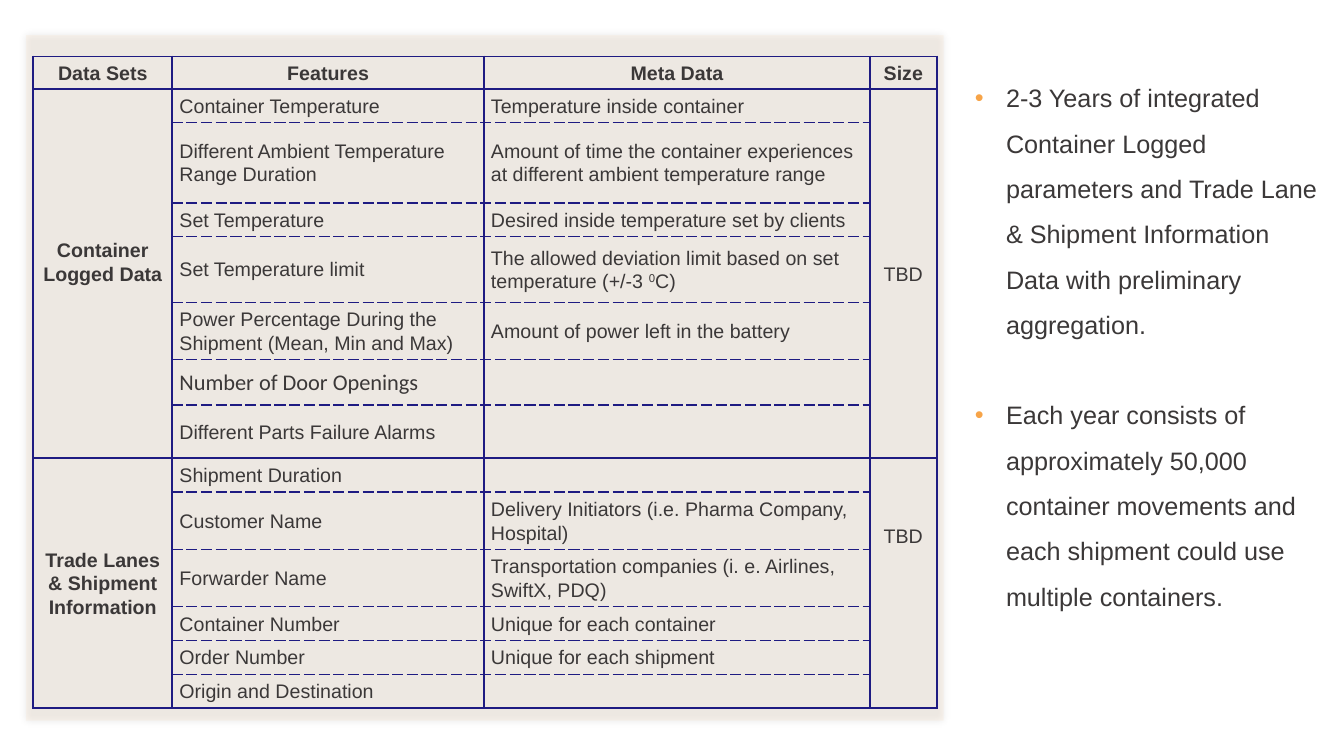
from dataclasses import dataclass
from lxml.etree import SubElement as Sub
from pptx import Presentation
from pptx.dml.color import RGBColor as RGB
from pptx.enum.shapes import MSO_SHAPE as Shape
from pptx.enum.text import MSO_ANCHOR as Anchor, PP_ALIGN as Align
from pptx.oxml.ns import qn
from pptx.util import Inches, Pt


@dataclass(frozen=True)
class Theme:
    """Colours, fonts and type sizes of the slide."""
    ink: str = "3B3838"
    rule: str = "1E1B82"
    panel: str = "FEE5CA"
    dot: str = "F7A448"
    font: str = "Arial"
    alt: str = "Calibri"
    cell: int = 14
    door: int = 16
    body: int = 18


T = Theme()
HEAD = ["Data Sets", "Features", "Meta Data", "Size"]
COLS = [1.38, 3.09, 3.83, 0.66]
DOOR = "Number of Door Openings"
# Each group: title, room under title, room under size, rows (height, feature, meta data)
GROUPS = [
    ("Container Logged Data", 0.23, 0, [
        (0.33, "Container Temperature", "Temperature inside container"),
        (0.8, "Different Ambient Temperature Range Duration",
         "Amount of time the container experiences at different ambient temperature range"),
        (0.33, "Set Temperature", "Desired inside temperature set by clients"),
        (0.65, "Set Temperature limit",
         "The allowed deviation limit based on set temperature (+/-3 ^0^C)"),
        (0.57, "Power Percentage During the Shipment (Mean, Min and Max)",
         "Amount of power left in the battery"),
        (0.45, DOOR, ""),
        (0.53, "Different Parts Failure Alarms", "")]),
    ("Trade Lanes & Shipment Information", 0, 0.94, [
        (0.33, "Shipment Duration", ""),
        (0.57, "Customer Name", "Delivery Initiators (i.e. Pharma Company, Hospital)"),
        (0.57, "Forwarder Name", "Transportation companies (i. e. Airlines, SwiftX, PDQ)"),
        (0.33, "Container Number", "Unique for each container"),
        (0.33, "Order Number", "Unique for each shipment"),
        (0.33, "Origin and Destination", "")]),
]
NOTES = [
    "2-3 Years of integrated Container Logged parameters and Trade Lane & Shipment "
    "Information Data with preliminary aggregation.",
    "Each year consists of approximately 50,000 container movements and each shipment "
    "could use multiple containers.",
]


def style(para, size, name=T.font, bold=False):
    """Set the font of a whole paragraph."""
    font = para.font
    font.size, font.name, font.bold = Pt(size), name, bold
    font.color.rgb = RGB.from_string(T.ink)


def panel(slide, box):
    """Draw the tinted panel with its soft shadow."""
    rect = slide.shapes.add_shape(Shape.RECTANGLE, *map(Inches, box))
    rect.shadow.inherit = False
    rect.line.fill.background()
    rect.fill.solid()
    rect.fill.fore_color.rgb = RGB.from_string(T.panel)
    props = rect._element.spPr
    Sub(props.find(".//" + qn("a:srgbClr")), qn("a:alpha"), val="22000")
    glow = Sub(props.find(qn("a:effectLst")), qn("a:outerShdw"),
               blurRad=str(Pt(5)), dist="0", dir="0", algn="ctr", rotWithShape="0")
    Sub(Sub(glow, qn("a:srgbClr"), val="000000"), qn("a:alpha"), val="40000")


def border(cell, top, bottom):
    """Rule a cell; a false top or bottom gives a thin dashed line."""
    props = cell._tc.get_or_add_tcPr()
    for side, solid in zip("LRTB", (True, True, top, bottom)):
        line = Sub(props, qn("a:ln" + side), w=str(Pt(1.5 if solid else 1)))
        Sub(Sub(line, qn("a:solidFill")), qn("a:srgbClr"), val=T.rule)
        Sub(line, qn("a:prstDash"), val="solid" if solid else "sysDash")
    cell.fill.background()


def write(cell, text, mid=False, bold=False, room=0):
    """Fill a cell; text between carets is raised."""
    cell.vertical_anchor = Anchor.MIDDLE
    cell.margin_left = cell.margin_right = Inches(0.07)
    pad = 0 if mid or not text else 0.05
    cell.margin_top, cell.margin_bottom = Inches(pad), Inches(pad + room)
    para = cell.text_frame.paragraphs[0]
    para.line_spacing = 1.07
    para.alignment = Align.CENTER if mid else Align.LEFT
    door = text == DOOR
    style(para, T.door if door else T.cell, T.alt if door else T.font, bold)
    for i, part in enumerate(text.split("^") if text else []):
        run = para.add_run()
        run.text = part
        if i % 2:
            run._r.get_or_add_rPr().set("baseline", "30000")


def grid(slide, box):
    """Build the table of data sets."""
    highs = [0.32] + [row[0] for group in GROUPS for row in group[3]]
    table = slide.shapes.add_table(len(highs), len(COLS), *map(Inches, box)).table
    table.first_row = table.horz_banding = False
    for col, wide in zip(table.columns, COLS):
        col.width = Inches(wide)
    for row, high in zip(table.rows, highs):
        row.height = Inches(high)
    for col, text in enumerate(HEAD):
        border(table.cell(0, col), True, True)
        write(table.cell(0, col), text, True, True)
    start = 1
    for title, low, drop, rows in GROUPS:
        last = start + len(rows) - 1
        for r, (_, name, meta) in enumerate(rows, start):
            for col in range(len(COLS)):
                outer = col in (0, 3)
                border(table.cell(r, col), outer or r == start, outer or r == last)
            write(table.cell(r, 1), name)
            write(table.cell(r, 2), meta)
        for col in (0, 3):
            table.cell(start, col).merge(table.cell(last, col))
        write(table.cell(start, 0), title, True, True, low)
        write(table.cell(start, 3), "TBD", True, room=drop)
        start = last + 1


def notes(slide, box):
    """Write the bulleted remarks beside the table."""
    frame = slide.shapes.add_textbox(*map(Inches, box)).text_frame
    frame.word_wrap = True
    for i, text in enumerate(NOTES):
        para = frame.add_paragraph() if i else frame.paragraphs[0]
        para.text = text
        para.line_spacing = 1.5
        para.space_before = Pt(32 if i else 0)
        props = para._p.get_or_add_pPr()
        props.set("marL", str(Inches(0.31)))
        props.set("indent", str(Inches(-0.31)))
        Sub(Sub(props, qn("a:buClr")), qn("a:srgbClr"), val=T.dot)
        Sub(props, qn("a:buFont"), typeface=T.font)
        Sub(props, qn("a:buChar"), char="•")
        style(para, T.body)


def build():
    """Make the slide and save it."""
    deck = Presentation()
    deck.slide_width, deck.slide_height = Inches(13.33), Inches(7.5)
    slide = deck.slides.add_slide(deck.slide_layouts[6])
    panel(slide, (0.26, 0.35, 9.1, 6.8))
    grid(slide, (0.33, 0.56, 8.96, 6.44))
    notes(slide, (9.57, 0.62, 3.66, 5.86))
    deck.save("out.pptx")


build()
